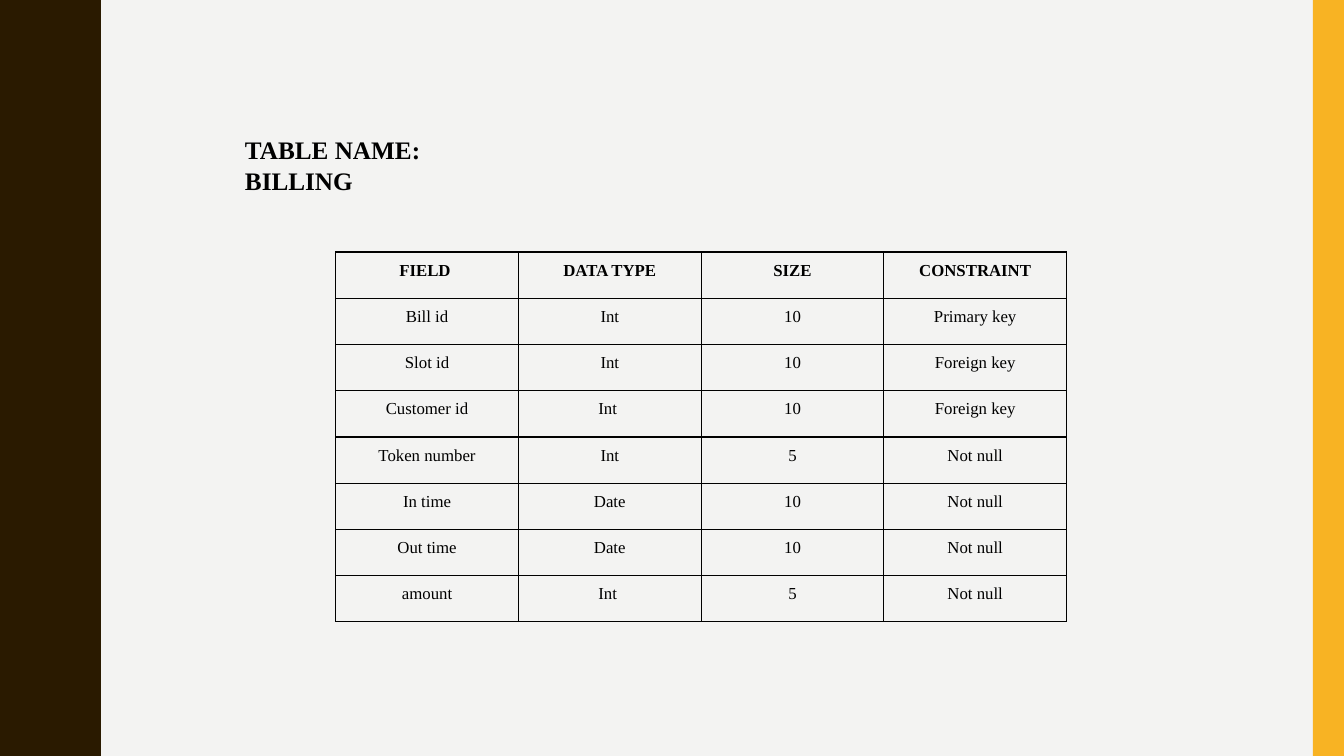
"""Build the slide that describes the billing table."""
from lxml.etree import SubElement
from pptx import Presentation
from pptx.dml.color import RGBColor
from pptx.enum.text import MSO_ANCHOR, MSO_AUTO_SIZE, PP_ALIGN
from pptx.oxml.ns import qn
from pptx.util import Inches, Pt

BACKGROUND = RGBColor(0xF3, 0xF3, 0xF2)
BROWN = RGBColor(0x2A, 0x1A, 0x00)
YELLOW = RGBColor(0xF8, 0xB3, 0x23)
BLACK = RGBColor(0x00, 0x00, 0x00)
FONT = "Times New Roman"
WIDTH, HEIGHT = 13.33, 7.5
WAVE_COUNT = 5
WAVE_LENGTH = HEIGHT / WAVE_COUNT
HALF_WAVE = [
    (0.78, 0), (0.78, 0.07), (0.79, 0.14), (0.8, 0.2), (0.81, 0.25),
    (0.83, 0.29), (0.85, 0.33), (0.87, 0.38), (0.89, 0.42), (0.91, 0.46),
    (0.93, 0.5), (0.95, 0.55), (0.96, 0.61), (0.97, 0.68), (0.97, 0.75),
]
ROWS = [
    ("FIELD ", "DATA TYPE", "SIZE", "CONSTRAINT"),
    ("Bill id", "Int", "10", "Primary key"),
    ("Slot id", "Int", "10", "Foreign key"),
    ("Customer id", "Int ", "10", "Foreign key"),
    ("Token number", "Int", "5", "Not null"),
    ("In time", "Date", "10", "Not null"),
    ("Out time", "Date", "10", "Not null"),
    ("amount", "Int ", "5", "Not null"),
]


def paint(shape, color):
    shape.shadow.inherit = False
    shape.fill.solid()
    shape.fill.fore_color.rgb = color
    shape.line.fill.background()


def style_font(font, size, bold):
    font.name = FONT
    font.size = Pt(size)
    font.bold = bold
    font.color.rgb = BLACK


presentation = Presentation()
presentation.slide_width = Inches(WIDTH)
presentation.slide_height = Inches(HEIGHT)
slide = presentation.slides.add_slide(presentation.slide_layouts.get_by_name("Title Only"))
slide.background.fill.solid()
slide.background.fill.fore_color.rgb = BACKGROUND

full_wave = HALF_WAVE + [(x, WAVE_LENGTH - y) for x, y in reversed(HALF_WAVE[:-1])]
edge = [(x, y + wave * WAVE_LENGTH) for wave in range(WAVE_COUNT) for x, y in full_wave]
builder = slide.shapes.build_freeform(0, 0, scale=Inches(1))
builder.add_line_segments(edge + [(0, HEIGHT)], close=True)
paint(builder.convert_to_shape(), BROWN)

bar_width = Inches(0.31)
bar = slide.shapes.add_shape(
    1, presentation.slide_width - bar_width, 0, bar_width, presentation.slide_height)
paint(bar, YELLOW)

table = slide.shapes.add_table(
    len(ROWS), len(ROWS[0]), Inches(3.33), Inches(2.5), Inches(7.25), Inches(3.67)).table
for row_index, row in enumerate(ROWS):
    for column_index, text in enumerate(row):
        cell = table.cell(row_index, column_index)
        cell.margin_left = cell.margin_right = Inches(0.07)
        cell.margin_top = cell.margin_bottom = 0
        properties = cell._tc.get_or_add_tcPr()
        for side in ("a:lnL", "a:lnR", "a:lnT", "a:lnB"):
            border = SubElement(properties, qn(side), w=str(Pt(1)))
            border_fill = SubElement(border, qn("a:solidFill"))
            SubElement(border_fill, qn("a:srgbClr"), val=str(BLACK))
        cell.fill.background()
        cell.text_frame.text = text
        paragraph = cell.text_frame.paragraphs[0]
        paragraph.alignment = PP_ALIGN.CENTER
        paragraph.line_spacing = 1.5
        paragraph.space_after = Pt(10)
        style_font(paragraph.runs[0].font, 12, row_index == 0)

title = slide.shapes.title
title.left, title.top = Inches(2.33), Inches(1.42)
title.width, title.height = Inches(3.07), Inches(0.71)
frame = title.text_frame
frame.text = "TABLE NAME: BILLING"
frame.word_wrap = True
frame.auto_size = MSO_AUTO_SIZE.NONE
frame.vertical_anchor = MSO_ANCHOR.MIDDLE
frame.margin_left, frame.margin_right = Inches(0.1), Inches(0.2)
frame.margin_top, frame.margin_bottom = 0, Inches(0.28)
frame.paragraphs[0].alignment = PP_ALIGN.LEFT
style_font(frame.paragraphs[0].runs[0].font, 18, True)

presentation.save("out.pptx")
